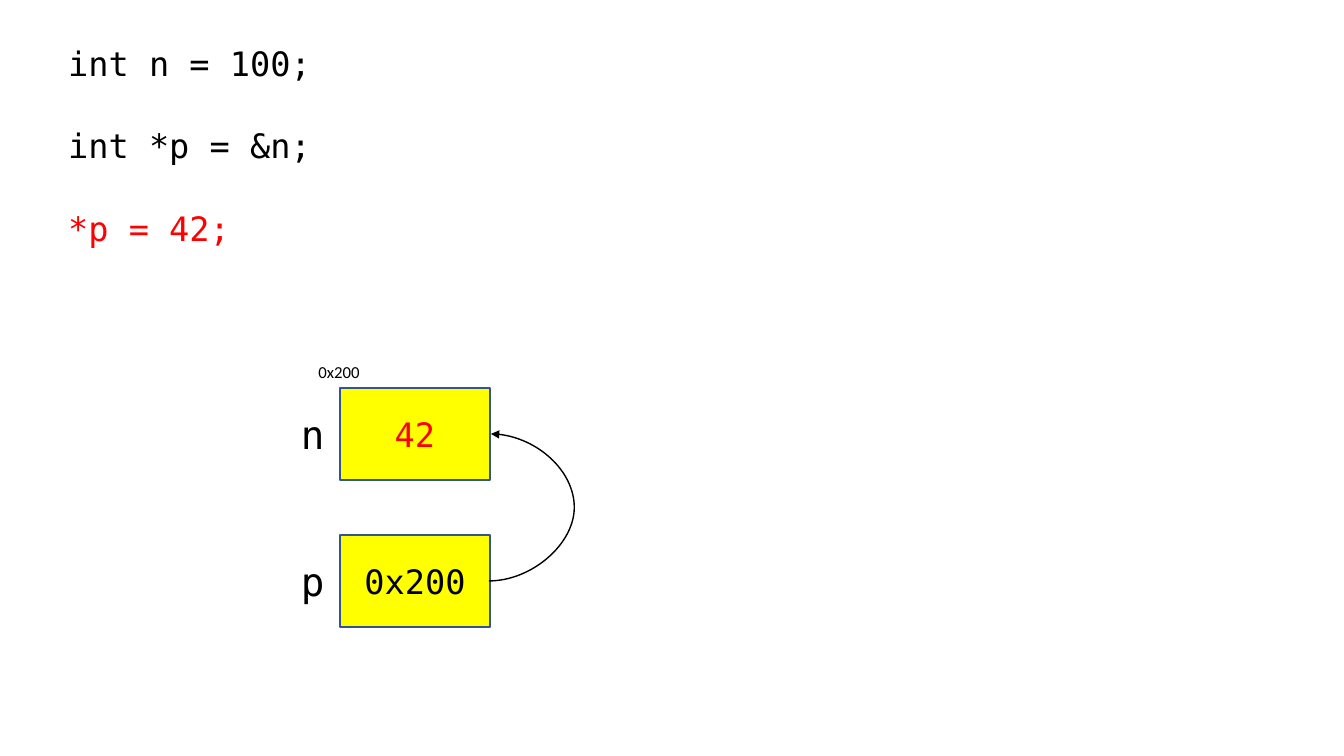
import pptx
import pptx.dml.color
import pptx.enum.dml
import pptx.enum.shapes
import pptx.enum.text
import pptx.oxml
import pptx.oxml.ns
import pptx.util
from lxml import etree

PX = 914400 / 100.8
COLORS = {"ink": "000000", "changed": "FF0000", "cell": "FFFF00", "border": "325491"}
MONO = "DejaVu Sans Mono"
ALIGN = pptx.enum.text.PP_ALIGN


def px(*lengths):
    """Turn pixel lengths into EMU."""
    return [pptx.util.Emu(round(length * PX)) for length in lengths]


def rgb(name):
    """Look up a named colour."""
    return pptx.dml.color.RGBColor.from_string(COLORS[name])


def write(paragraph, text, size=24, font=MONO, color="ink", align=ALIGN.LEFT, gap=0):
    """Put formatted text into a paragraph."""
    paragraph.alignment = align
    if gap:
        paragraph.space_before = pptx.util.Pt(gap)
    run = paragraph.add_run()
    run.text = text
    run.font.size = pptx.util.Pt(size)
    run.font.name = font
    run.font.color.rgb = rgb(color)


def add_label(slide, bounds, lines, **style):
    """Add a text box with one paragraph per (text, colour) line."""
    frame = slide.shapes.add_textbox(*px(*bounds)).text_frame
    frame.word_wrap = True
    for index, (text, color) in enumerate(lines):
        paragraph = frame.add_paragraph() if index else frame.paragraphs[0]
        write(paragraph, text, color=color, gap=30 if index else 0, **style)


def add_variable(slide, top, name, value, color):
    """Add a memory cell holding a value, with its variable name on the left."""
    cell = slide.shapes.add_shape(
        pptx.enum.shapes.MSO_SHAPE.RECTANGLE, *px(340, top, 150, 92))
    cell.shadow.inherit = False
    cell.fill.solid()
    cell.fill.fore_color.rgb = rgb("cell")
    cell.line.color.rgb = rgb("border")
    cell.line.width = pptx.util.Pt(1)
    cell.text_frame.vertical_anchor = pptx.enum.text.MSO_ANCHOR.MIDDLE
    write(cell.text_frame.paragraphs[0], value, color=color, align=ALIGN.CENTER)
    add_label(slide, (291, top + 17, 42, 57), [(name, "ink")], size=28)


def add_pointer(slide, start, end, bulge):
    """Add a curved arrow that swings out to the right by the bulge."""
    arrow = slide.shapes.add_connector(
        pptx.enum.shapes.MSO_CONNECTOR.CURVE, *px(*start, *end))
    arrow.line.color.rgb = rgb("ink")
    arrow.line.width = pptx.util.Pt(1)
    qn = pptx.oxml.ns.qn
    properties = arrow.element.spPr
    guides = properties.find(qn("a:prstGeom")).find(qn("a:avLst"))
    adjust = round(bulge / (end[0] - start[0]) * 100000)
    etree.SubElement(guides, qn("a:gd"), name="adj1", fmla=f"val {adjust}")
    etree.SubElement(properties.find(qn("a:ln")), qn("a:tailEnd"), type="triangle")
    etree.SubElement(properties, qn("a:effectLst"))


def main():
    """Build the pointer assignment slide."""
    presentation = pptx.Presentation()
    presentation.slide_width, presentation.slide_height = px(1344, 756)
    slide = presentation.slides.add_slide(presentation.slide_layouts[6])
    add_label(slide, (38, 38, 407, 214), [
        (" int n = 100;", "ink"),
        (" int *p = &n;", "ink"),
        (" *p = 42;", "changed"),
    ])
    n_top, p_top = 388, 535
    add_variable(slide, n_top, "n", "42", "changed")
    add_label(slide, (297, 357, 84, 30), [("0x200", "ink")],
              size=12, font="Calibri", align=ALIGN.CENTER)
    add_variable(slide, p_top, "p", "0x200", "ink")
    add_pointer(slide, (489, p_top + 46), (491, n_top + 46), bulge=86)
    presentation.save("out.pptx")


if __name__ == "__main__":
    main()
